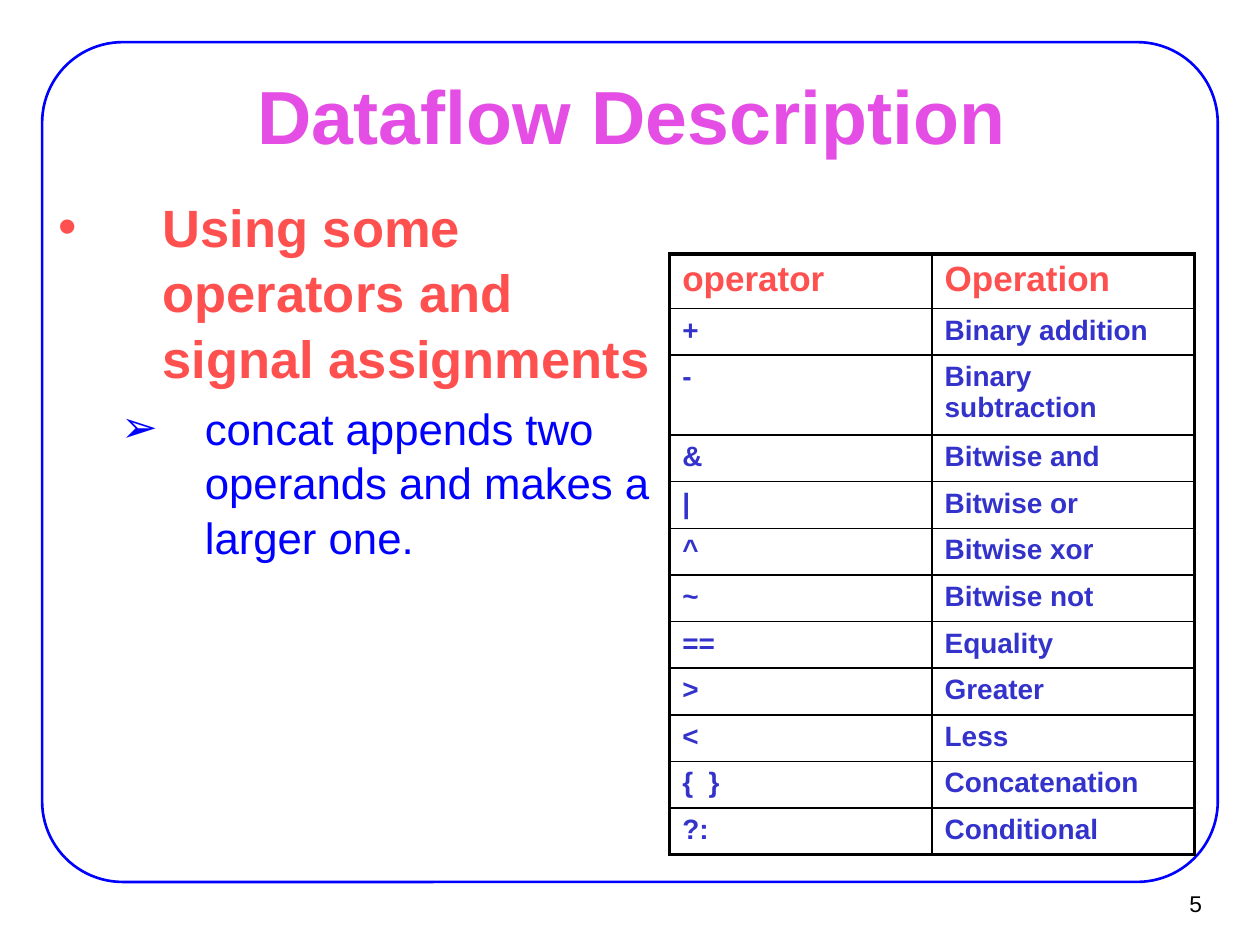
"""Build the Dataflow Description slide with its table of operators."""
import dataclasses

import lxml.etree
import pptx
import pptx.dml.color
import pptx.enum.shapes
import pptx.enum.text
import pptx.oxml.ns
import pptx.util

Cm = pptx.util.Cm
Pt = pptx.util.Pt
ALIGN = pptx.enum.text.PP_ALIGN
ANCHOR = pptx.enum.text.MSO_ANCHOR

OPERATORS = [
    ("operator", "Operation"),
    ("+", "Binary addition"),
    ("-", "Binary subtraction"),
    ("&", "Bitwise and"),
    ("|", "Bitwise or"),
    ("^", "Bitwise xor"),
    ("~", "Bitwise not"),
    ("==", "Equality"),
    (">", "Greater"),
    ("<", "Less"),
    ("{  }", "Concatenation"),
    ("?:", "Conditional"),
]


@dataclasses.dataclass(frozen=True)
class Theme:
    font: str = "Arial"
    title: str = "E44EE4"
    accent: str = "FF5050"
    blue: str = "0000FF"
    entry: str = "3333CC"
    black: str = "000000"
    title_size: float = 43
    point_size: float = 30
    detail_size: float = 25
    header_size: float = 20
    entry_size: float = 16
    number_size: float = 13
    frame_line: float = 1.5
    outer_line: float = 2.25
    inner_line: float = 1


class SlideBuilder:
    def __init__(self, presentation, theme):
        self.theme = theme
        self.slide = presentation.slides.add_slide(presentation.slide_layouts[1])

    def place(self, shape, left, top, width, height):
        shape.left, shape.top = Cm(left), Cm(top)
        shape.width, shape.height = Cm(width), Cm(height)

    def format_frame(self, frame, anchor, side, edge):
        frame.word_wrap = True
        frame.auto_size = pptx.enum.text.MSO_AUTO_SIZE.NONE
        frame.vertical_anchor = anchor
        frame.margin_left = frame.margin_right = Cm(side)
        frame.margin_top = frame.margin_bottom = Cm(edge)

    def add_text(self, paragraph, text, size, color, bold=False, align=ALIGN.LEFT):
        paragraph.alignment = align
        run = paragraph.add_run()
        run.text = text
        run.font.name = self.theme.font
        run.font.size = Pt(size)
        run.font.bold = bold
        run.font.color.rgb = pptx.dml.color.RGBColor.from_string(color)

    def add_frame(self, left, top, width, height):
        shape = self.slide.shapes.add_shape(
            pptx.enum.shapes.MSO_SHAPE.ROUNDED_RECTANGLE,
            Cm(left), Cm(top), Cm(width), Cm(height))
        shape.adjustments[0] = 0.096
        shape.shadow.inherit = False
        shape.fill.background()
        shape.line.color.rgb = pptx.dml.color.RGBColor.from_string(self.theme.blue)
        shape.line.width = Pt(self.theme.frame_line)

    def add_title(self, text, *box):
        shape = self.slide.shapes.title
        self.place(shape, *box)
        self.format_frame(shape.text_frame, ANCHOR.MIDDLE, 0.28, 0.15)
        self.add_text(shape.text_frame.paragraphs[0], text, self.theme.title_size,
                      self.theme.title, True, ALIGN.CENTER)

    def add_bullet(self, paragraph, mark, margin, hanging):
        paragraph.line_spacing = 1.04
        paragraph.space_before = Pt(6)
        properties = paragraph._p.get_or_add_pPr()
        properties.set("marL", str(Cm(margin)))
        properties.set("indent", str(-Cm(hanging)))
        for tag, name, value in (("a:buFont", "typeface", self.theme.font),
                                 ("a:buChar", "char", mark)):
            lxml.etree.SubElement(properties, pptx.oxml.ns.qn(tag)).set(name, value)

    def add_body(self, point, detail, *box):
        shape = self.slide.placeholders[1]
        self.place(shape, *box)
        frame = shape.text_frame
        self.format_frame(frame, ANCHOR.TOP, 0.28, 0.15)
        paragraph = frame.paragraphs[0]
        self.add_bullet(paragraph, "•", 2.11, 2.11)
        self.add_text(paragraph, point, self.theme.point_size, self.theme.accent, True)
        paragraph = frame.add_paragraph()
        paragraph.level = 1
        self.add_bullet(paragraph, "➢", 2.96, 1.69)
        self.add_text(paragraph, detail, self.theme.detail_size, self.theme.blue)

    def set_borders(self, cell, outer_sides):
        properties = cell._tc.get_or_add_tcPr()
        for position, side in enumerate("LRTB"):
            width = self.theme.outer_line if side in outer_sides else self.theme.inner_line
            line = lxml.etree.Element(pptx.oxml.ns.qn(f"a:ln{side}"), w=str(Pt(width)))
            fill = lxml.etree.SubElement(line, pptx.oxml.ns.qn("a:solidFill"))
            color = lxml.etree.SubElement(fill, pptx.oxml.ns.qn("a:srgbClr"))
            color.set("val", self.theme.black)
            properties.insert(position, line)

    def add_table(self, rows, left, top, column_width, row_heights):
        columns = len(rows[0])
        table = self.slide.shapes.add_table(
            len(rows), columns, Cm(left), Cm(top),
            Cm(column_width * columns), Cm(sum(row_heights))).table
        table.first_row = table.horz_banding = False
        for column in table.columns:
            column.width = Cm(column_width)
        for row_index, (texts, height) in enumerate(zip(rows, row_heights)):
            table.rows[row_index].height = Cm(height)
            header = row_index == 0
            size = self.theme.header_size if header else self.theme.entry_size
            color = self.theme.accent if header else self.theme.entry
            for column_index, text in enumerate(texts):
                cell = table.cell(row_index, column_index)
                cell.fill.background()
                paragraph = cell.text_frame.paragraphs[0]
                paragraph.space_before = Pt(size * 0.2)
                self.add_text(paragraph, text, size, color, True)
                outer = "L" if column_index == 0 else ""
                outer += "R" if column_index == columns - 1 else ""
                outer += "T" if header else ""
                outer += "B" if row_index == len(rows) - 1 else ""
                self.set_borders(cell, outer)

    def add_number(self, text, left, top, width, height):
        shape = self.slide.shapes.add_textbox(Cm(left), Cm(top), Cm(width), Cm(height))
        self.format_frame(shape.text_frame, ANCHOR.MIDDLE, 0.23, 0.1)
        self.add_text(shape.text_frame.paragraphs[0], text, self.theme.number_size,
                      self.theme.black, align=ALIGN.RIGHT)


def main():
    presentation = pptx.Presentation()
    presentation.slide_width, presentation.slide_height = Cm(25.4), Cm(19.05)
    builder = SlideBuilder(presentation, Theme())
    builder.add_frame(0.85, 0.85, 23.7, 16.93)
    builder.add_number("5", 22.91, 17.75, 1.55, 0.94)
    builder.add_title("Dataflow Description", 1.93, 1.68, 21.59, 1.24)
    builder.add_body("Using some operators and signal assignments",
                     "concat appends two operands and makes a larger one.",
                     0.89, 3.73, 12.8, 11.2)
    row_heights = [1.1, 0.94, 1.61] + [0.94] * (len(OPERATORS) - 3)
    builder.add_table(OPERATORS, 13.5, 5.12, 5.29, row_heights)
    presentation.save("out.pptx")


if __name__ == "__main__":
    main()
